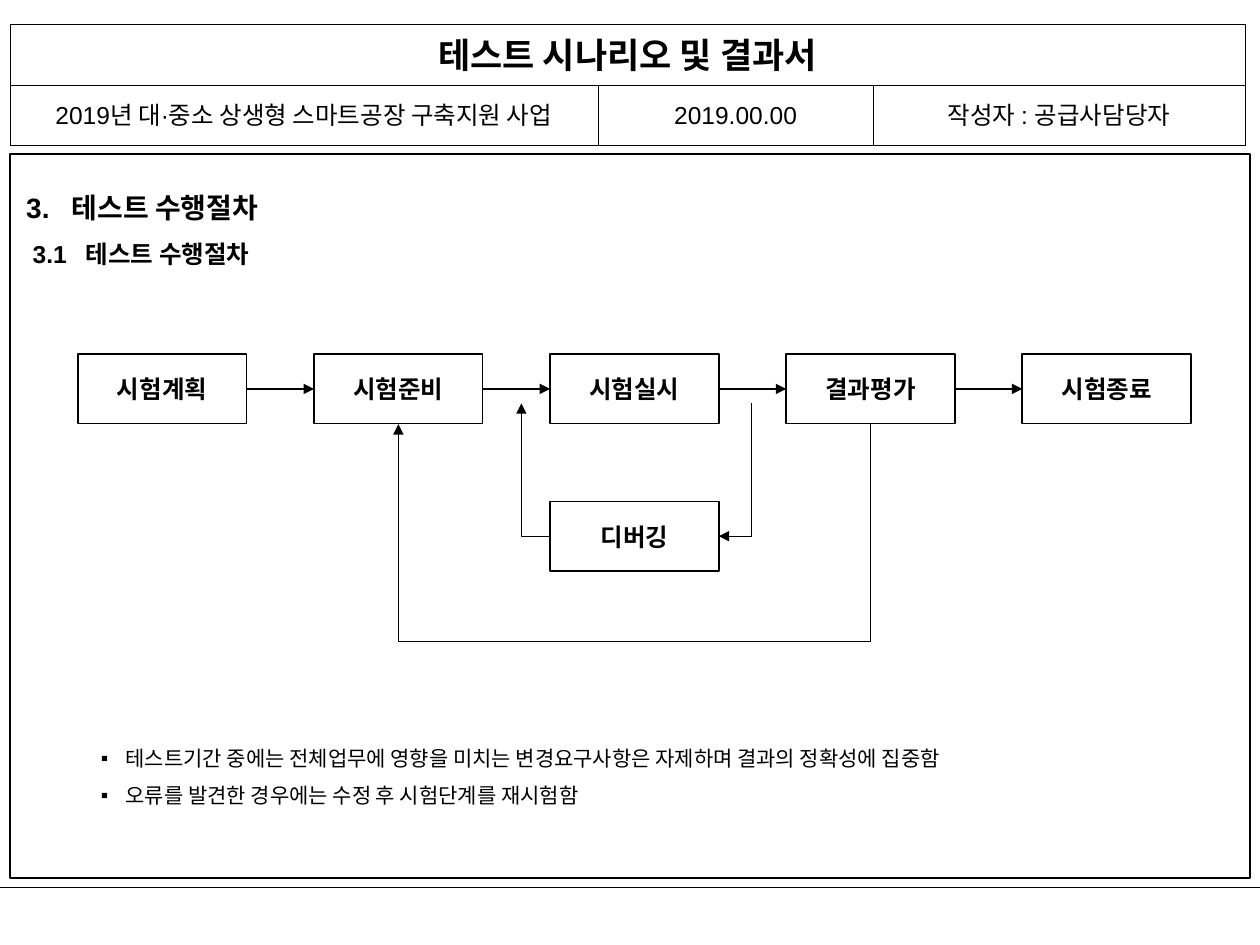
from typing import NamedTuple

from lxml import etree
from pptx import Presentation
from pptx.dml.color import RGBColor
from pptx.enum.shapes import MSO_CONNECTOR, MSO_SHAPE
from pptx.enum.text import MSO_ANCHOR, MSO_AUTO_SIZE, PP_ALIGN
from pptx.oxml.ns import qn
from pptx.util import Cm, Pt

RECT = MSO_SHAPE.RECTANGLE
LINE, ELBOW = MSO_CONNECTOR.STRAIGHT, MSO_CONNECTOR.ELBOW
LEFT, MID = PP_ALIGN.LEFT, PP_ALIGN.CENTER
TOP, CENTER = MSO_ANCHOR.TOP, MSO_ANCHOR.MIDDLE
FIXED = MSO_AUTO_SIZE.NONE

COLORS = {"ink": "000000", "paper": "FFFFFF"}
SANS, KOREAN = "Arial", "Noto Sans CJK KR"


class Box(NamedTuple):
    x: float
    y: float
    w: float
    h: float


class Cell(NamedTuple):
    text: str
    w: float


class Loop(NamedTuple):
    box: Box
    turn: int
    kind: str
    bend: int = 0


def color(name: str) -> RGBColor:
    return RGBColor.from_string(COLORS[name])


def place(shape, box: Box) -> None:
    shape.left, shape.top, shape.width, shape.height = map(Cm, box)


def outline(shape, width: float) -> None:
    shape.fill.solid()
    shape.fill.fore_color.rgb = color("paper")
    shape.line.color.rgb = color("ink")
    shape.line.width = Pt(width)


def write(shape, text: str, *, size: float = 14, font: str = SANS,
          bold: bool = False, align=MID, anchor=CENTER, space: float = 1,
          first: bool = True, indent: float = 0, hang: float = 0,
          bullet: str = "") -> None:
    """Write one paragraph into the shape, as its first or its next one."""
    frame = shape.text_frame
    frame.word_wrap, frame.auto_size = True, FIXED
    frame.vertical_anchor = anchor
    para = frame.paragraphs[0] if first else frame.add_paragraph()
    para.alignment, para.line_spacing = align, space
    para.space_before = para.space_after = Pt(0)
    props = para._p.get_or_add_pPr()
    props.set("marL", str(Cm(indent)))
    props.set("indent", str(Cm(-hang)))
    if bullet:
        etree.SubElement(props, qn("a:buFont"), typeface=SANS)
        etree.SubElement(props, qn("a:buChar"), char=bullet)
    else:
        etree.SubElement(props, qn("a:buNone"))
    run = para.add_run()
    run.text = text
    run.font.name, run.font.size, run.font.bold = font, Pt(size), bold
    run.font.color.rgb = color("ink")
    latin = run.font._element.find(qn("a:latin"))
    latin.addnext(latin.makeelement(qn("a:ea"), {"typeface": KOREAN}))


def block(slide, box: Box, width: float = 1):
    shape = slide.shapes.add_shape(RECT, *map(Cm, box))
    shape.shadow.inherit = False
    outline(shape, width)
    return shape


def link(slide, kind, start: tuple, end: tuple, width: float = 0.75,
         arrow: bool = True):
    line = slide.shapes.add_connector(kind, *map(Cm, start + end))
    line.line.color.rgb = color("ink")
    line.line.width = Pt(width)
    if arrow:
        etree.SubElement(line.line._get_or_add_ln(), qn("a:tailEnd"),
                         type="triangle")
    etree.SubElement(line._element.spPr, qn("a:effectLst"))
    return line


def bend(slide, loop: Loop) -> None:
    x, y, w, h = loop.box
    props = link(slide, ELBOW, (x, y), (x + w, y + h))._element.spPr
    props.find(qn("a:xfrm")).set("rot", str(loop.turn * 60000))
    shape = props.find(qn("a:prstGeom"))
    shape.set("prst", loop.kind)
    if loop.bend:
        etree.SubElement(shape.find(qn("a:avLst")), qn("a:gd"),
                         name="adj1", fmla=f"val {loop.bend}")


def turned(left: float, top: float, w: float, h: float) -> Box:
    """Frame that covers the given area once it is turned by 90 degrees."""
    return Box(left + (w - h) / 2, top + (h - w) / 2, h, w)


def header(slide) -> None:
    x, y = 0.2, 1.72
    cells = [Cell("2019년 대·중소 상생형 스마트공장 구축지원 사업", 11.86),
             Cell("2019.00.00", 5.54), Cell("작성자 : 공급사담당자", 7.5)]
    title = slide.shapes.title
    place(title, Box(x, 0.48, sum(c.w for c in cells), y - 0.48))
    outline(title, 0.25)
    write(title, "테스트 시나리오 및 결과서", size=20, font=KOREAN, bold=True)
    for cell in cells:
        write(block(slide, Box(x, y, cell.w, 1.2), 0.25), cell.text)
        x += cell.w


def flow(slide) -> None:
    x, y, w, h, step = 1.57, 7.14, 3.4, 1.4, 4.76
    low, side = 10.11, 8.13
    steps = ["시험계획", "시험준비", "시험실시", "결과평가", "시험종료"]
    lefts = [x + i * step for i in range(len(steps))]
    spots = [(name, left, y) for name, left in zip(steps, lefts)]
    for name, left, top in spots + [("디버깅", lefts[2], low)]:
        write(block(slide, Box(left, top, w, h)), name, font=KOREAN, bold=True)
    for left, right in zip(lefts, lefts[1:]):
        link(slide, LINE, (left + w, y + h / 2), (right, y + h / 2))

    # Loops through debugging, and back from review to setup
    drop, thin, depth = low + h / 2 - side, 0.01, 4.39
    back = turned(lefts[1] + w / 2, y + h, 2 * step, thin)
    for loop in (
        Loop(turned(lefts[2] + w, side, 0.66, drop), 90, "bentConnector2"),
        Loop(Box(lefts[2] - 0.58, side, 0.58, drop), 180, "bentConnector2"),
        Loop(back, 90, "bentConnector3", round(depth / thin * 100000)),
    ):
        bend(slide, loop)


def main() -> None:
    deck = Presentation()
    deck.slide_width, deck.slide_height = Cm(25.4), Cm(19.05)
    slide = deck.slides.add_slide(deck.slide_layouts[1])

    # Page frame behind everything, and foot line
    frame = block(slide, Box(0.2, 3.1, 25, 14.6))._element
    frame.getparent().insert(2, frame)
    link(slide, LINE, (0, 17.88), (25.4, 17.88), 0.5, arrow=False)

    header(slide)

    # Section headings
    heads = slide.shapes.add_textbox(*map(Cm, (0.13, 3.38, 8.2, 2.18)))
    style = dict(bold=True, align=LEFT, anchor=TOP, space=1.5)
    write(heads, "3.\t테스트 수행절차", size=16, indent=1.07, hang=0.92, **style)
    write(heads, "3.1\t테스트 수행절차", first=False, indent=1.35, hang=1.07,
          **style)

    flow(slide)

    # Notes on the test period
    notes = slide.placeholders[1]
    place(notes, Box(1.78, 14.63, 22.02, 1.8))
    lines = ["테스트기간 중에는 전체업무에 영향을 미치는 변경요구사항은 자제하며 결과의 정확성에 집중함",
             "오류를 발견한 경우에는 수정 후 시험단계를 재시험함"]
    for i, text in enumerate(lines):
        write(notes, text, size=12, align=LEFT, space=1.5, first=i == 0,
              indent=0.5, hang=0.5, bullet="▪")

    deck.save("out.pptx")


if __name__ == "__main__":
    main()
